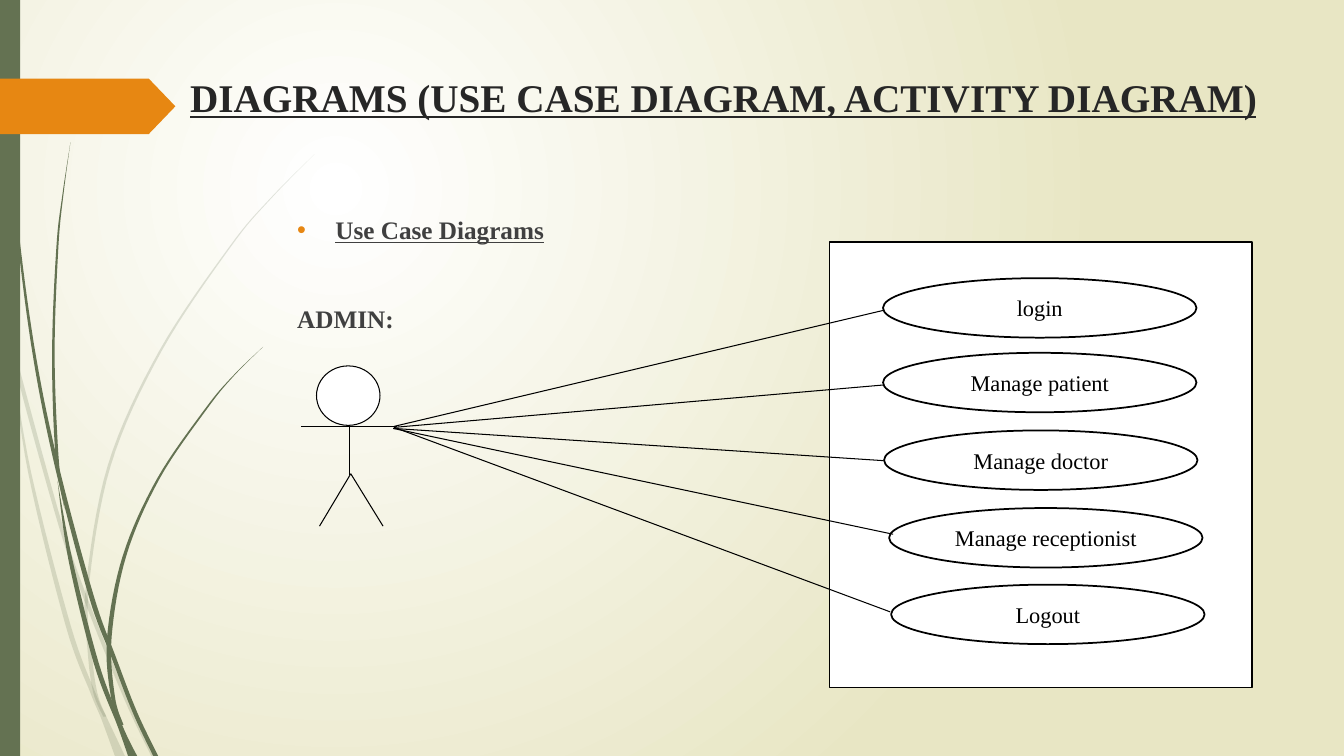
from dataclasses import dataclass
from itertools import pairwise

from lxml import etree
from pptx import Presentation, slide as sl, util as u
from pptx.dml import color, line as ln
from pptx.enum import shapes, text
from pptx.oxml import ns
from pptx.shapes import autoshape
from pptx.text import text as tx

CELL = u.Inches(0.1)
COLUMNS, ROWS = 133.33, 75
CURVE_STEPS = 8

Point = tuple[float, float]


@dataclass(frozen=True)
class Theme:
    font: str = "Times New Roman"
    heading: str = "262626"
    body: str = "404040"
    ink: str = "000000"
    paper: str = "FFFFFF"
    sand: str = "E8E6C4"
    green: str = "647252"
    orange: str = "E78712"
    title_size: float = 28
    body_size: float = 18
    case_size: float = 16
    thin: float = 0.75
    thick: float = 1.25


@dataclass(frozen=True)
class Box:
    left: float
    top: float
    width: float
    height: float

    def emu(self) -> list[int]:
        return [cells(v) for v in (self.left, self.top, self.width, self.height)]


@dataclass(frozen=True)
class UseCase:
    label: str
    left: float
    top: float
    hand: Point
    target: Point


@dataclass(frozen=True)
class Blade:
    alpha: int
    stations: list[tuple[float, float, float]]


THEME = Theme()

USE_CASES = [
    UseCase("login", 87.6, 27.6, (39.1, 42.3), (87.6, 30.8)),
    UseCase("Manage patient", 87.6, 35, (39.1, 42.4), (87.6, 38.2)),
    UseCase("Manage doctor", 87.7, 42.7, (39, 42.5), (87.6, 45.7)),
    UseCase("Manage receptionist", 88.2, 50.4, (39, 42.5), (88.6, 53)),
    UseCase("Logout", 88.4, 58, (39.1, 42.4), (88.3, 60.7)),
]

ACTOR_LIMBS: list[tuple[Point, Point]] = [
    ((29.9, 42.3), (39.4, 42.3)),
    ((34.7, 42.2), (34.7, 47.1)),
    ((34.8, 47), (31.7, 52.2)),
    ((34.8, 47), (38, 52.2)),
]

GRASS = [
    Blade(20, [(1.5, 34.5, 0), (2, 37.6, 0.4), (6, 52.1, 0.4), (8.5, 59.4, 0.4),
               (12.5, 69.3, 0.4), (15.25, 75, 0.5)]),
    Blade(20, [(1.1, 35, 0), (2.95, 46.9, 0.3), (6.75, 62, 0.5), (9.25, 68.8, 0.5),
               (10.35, 71.3, 0.6), (11.9, 75, 1)]),
    Blade(20, [(31.2, 15.3, 0), (26.8, 19.75, 0.1), (22.85, 24.45, 0.15),
               (15.9, 34.85, 0.25), (10.85, 46.15, 0.3), (8.65, 58.4, 0.3),
               (8.9, 64.6, 0.4), (9.45, 68.7, 0.4), (10.4, 71.1, 0.3)]),
    Blade(100, [(0.35, 0, 0.1), (0.75, 11, 0.1), (1.8, 23.3, 0.2), (3.45, 35.5, 0.3),
                (5.7, 46.5, 0.4), (9.05, 59.1, 0.5), (11.2, 65, 0.45),
                (13.4, 70.7, 0.45), (15.45, 75, 0.5)]),
    Blade(100, [(5.7, 47.7, 0), (7, 55.6, 0.4), (9.55, 65.8, 0.5), (11.9, 72, 0.5),
                (13.15, 75, 0.9)]),
    Blade(100, [(7, 14.1, 0), (6.25, 19.3, 0.1), (5.7, 24.5, 0.2), (5.3, 34.9, 0.25),
                (5.65, 45.1, 0.3), (6.4, 50.5, 0)]),
    Blade(100, [(26.1, 34.4, 0), (23.1, 37.35, 0.1), (20.45, 40.55, 0.2),
                (15.7, 47.5, 0.25), (12.35, 55.15, 0.35), (10.85, 63.2, 0.45),
                (11.2, 69.1, 0.4), (12.15, 71.9, 0.2)]),
]


def cells(count: float) -> int:
    return round(count * CELL)


def rgb(value: str) -> color.RGBColor:
    return color.RGBColor.from_string(value)


def add_xml(parent: etree._Element, tag: str, **attributes: str) -> etree._Element:
    return etree.SubElement(parent, ns.qn(tag), attributes)


def style_font(paragraph: tx._Paragraph, size: float, ink: str, strong: bool) -> None:
    font = paragraph.font
    font.name, font.size, font.color.rgb = THEME.font, u.Pt(size), rgb(ink)
    font.bold = font.underline = strong


def style_line(outline: ln.LineFormat, width: float) -> None:
    outline.color.rgb = rgb(THEME.ink)
    outline.width = u.Pt(width)


def paint(figure: autoshape.Shape, fill: str, outline: float = 0) -> None:
    figure.shadow.inherit = False
    figure.fill.solid()
    figure.fill.fore_color.rgb = rgb(fill)
    if outline:
        style_line(figure.line, outline)
    else:
        figure.line.fill.background()


def draw_shape(page: sl.Slide, kind: shapes.MSO_SHAPE, box: Box, fill: str,
               outline: float = 0) -> autoshape.Shape:
    figure = page.shapes.add_shape(kind, *box.emu())
    paint(figure, fill, outline)
    return figure


def draw_line(page: sl.Slide, start: Point, end: Point) -> None:
    link = page.shapes.add_connector(shapes.MSO_CONNECTOR.STRAIGHT,
                                     *(cells(v) for v in (*start, *end)))
    style_line(link.line, THEME.thin)
    add_xml(link.element.spPr, "a:effectLst")


def smooth(points: list[Point]) -> list[Point]:
    padded = [points[0], *points, points[-1]]
    curve = [points[0]]
    for i, (start, end) in enumerate(pairwise(points)):
        before, after = padded[i], padded[i + 3]
        for step in range(1, CURVE_STEPS + 1):
            t = step / CURVE_STEPS
            curve.append(tuple(
                b + t * (c - a) / 2 + t**2 * (2*a - 5*b + 4*c - d) / 2
                + t**3 * (3*b - a - 3*c + d) / 2
                for a, b, c, d in zip(before, start, end, after)))
    return curve


def draw_blade(page: sl.Slide, blade: Blade) -> None:
    left, right = (smooth([(x + side * w / 2, y) for x, y, w in blade.stations])
                   for side in (-1, 1))
    rim = [(cells(x), cells(y)) for x, y in left + right[::-1]]
    builder = page.shapes.build_freeform(*rim[0])
    builder.add_line_segments(rim[1:], close=True)
    figure = builder.convert_to_shape()
    paint(figure, THEME.green)
    tint = figure.element.spPr.find(".//" + ns.qn("a:srgbClr"))
    add_xml(tint, "a:alpha", val=str(blade.alpha * 1000))


def draw_background(page: sl.Slide) -> None:
    fill = page.background.fill
    fill.gradient()
    for stop, tone in zip(fill.gradient_stops, (THEME.paper, THEME.sand)):
        stop.color.rgb = rgb(tone)
    gradient = page.element.find(".//" + ns.qn("a:gradFill"))
    gradient.remove(gradient.find(ns.qn("a:lin")))
    circle = add_xml(gradient, "a:path", path="circle")
    add_xml(circle, "a:fillToRect", l="50000", t="50000", r="100000", b="100000")


def write_title(page: sl.Slide) -> None:
    title = page.shapes.title
    title.left, title.top, title.width, title.height = Box(17.7, 6.8, 108.1, 14).emu()
    frame = title.text_frame
    frame.text = "DIAGRAMS (USE CASE DIAGRAM, ACTIVITY DIAGRAM)"
    frame.auto_size, frame.word_wrap = text.MSO_AUTO_SIZE.NONE, True
    frame.vertical_anchor = text.MSO_ANCHOR.TOP
    frame.margin_left = frame.margin_right = cells(0.5)
    frame.paragraphs[0].alignment = text.PP_ALIGN.CENTER
    style_font(frame.paragraphs[0], THEME.title_size, THEME.heading, True)


def write_body(page: sl.Slide) -> None:
    frame = page.shapes.add_textbox(*Box(28.5, 20.8, 97.3, 13).emu()).text_frame
    frame.word_wrap = True
    frame.text = "Use Case Diagrams\nADMIN:"
    topic, actor = frame.paragraphs
    indent = cells(3.8)
    props = topic._p.get_or_add_pPr()
    props.set("marL", str(indent))
    props.set("indent", str(-indent))
    add_xml(add_xml(props, "a:buClr"), "a:srgbClr", val=THEME.orange)
    add_xml(props, "a:buFont", typeface="Arial")
    add_xml(props, "a:buChar", char="•")
    for paragraph in (topic, actor):
        style_font(paragraph, THEME.body_size, THEME.body, True)
    actor.font.underline = False
    actor.space_before = u.Pt(42)


def draw_use_case(page: sl.Slide, case: UseCase) -> None:
    oval = draw_shape(page, shapes.MSO_SHAPE.OVAL, Box(case.left, case.top, 31.1, 5.9),
                      THEME.paper, THEME.thick)
    frame = oval.text_frame
    frame.text = case.label
    frame.vertical_anchor = text.MSO_ANCHOR.MIDDLE
    frame.paragraphs[0].alignment = text.PP_ALIGN.CENTER
    style_font(frame.paragraphs[0], THEME.case_size, THEME.ink, False)


def main() -> None:
    deck = Presentation()
    deck.slide_width, deck.slide_height = cells(COLUMNS), cells(ROWS)
    page = deck.slides.add_slide(deck.slide_layouts.get_by_name("Title Only"))
    draw_background(page)
    for blade in GRASS:
        draw_blade(page, blade)
    draw_shape(page, shapes.MSO_SHAPE.RECTANGLE, Box(0, 0, 2, ROWS), THEME.green)
    ribbon = draw_shape(page, shapes.MSO_SHAPE.PENTAGON, Box(0, 7.8, 17.4, 5.5), THEME.orange)
    ribbon.adjustments[0] = 0.48
    write_title(page)
    write_body(page)
    draw_shape(page, shapes.MSO_SHAPE.OVAL, Box(31.4, 36.3, 6.3, 5.9), THEME.paper, THEME.thin)
    for start, end in ACTOR_LIMBS:
        draw_line(page, start, end)
    draw_shape(page, shapes.MSO_SHAPE.RECTANGLE, Box(82.3, 24, 41.9, 44.2),
               THEME.paper, THEME.thick)
    for case in USE_CASES:
        draw_use_case(page, case)
        draw_line(page, case.hand, case.target)
    deck.save("out.pptx")


if __name__ == "__main__":
    main()
